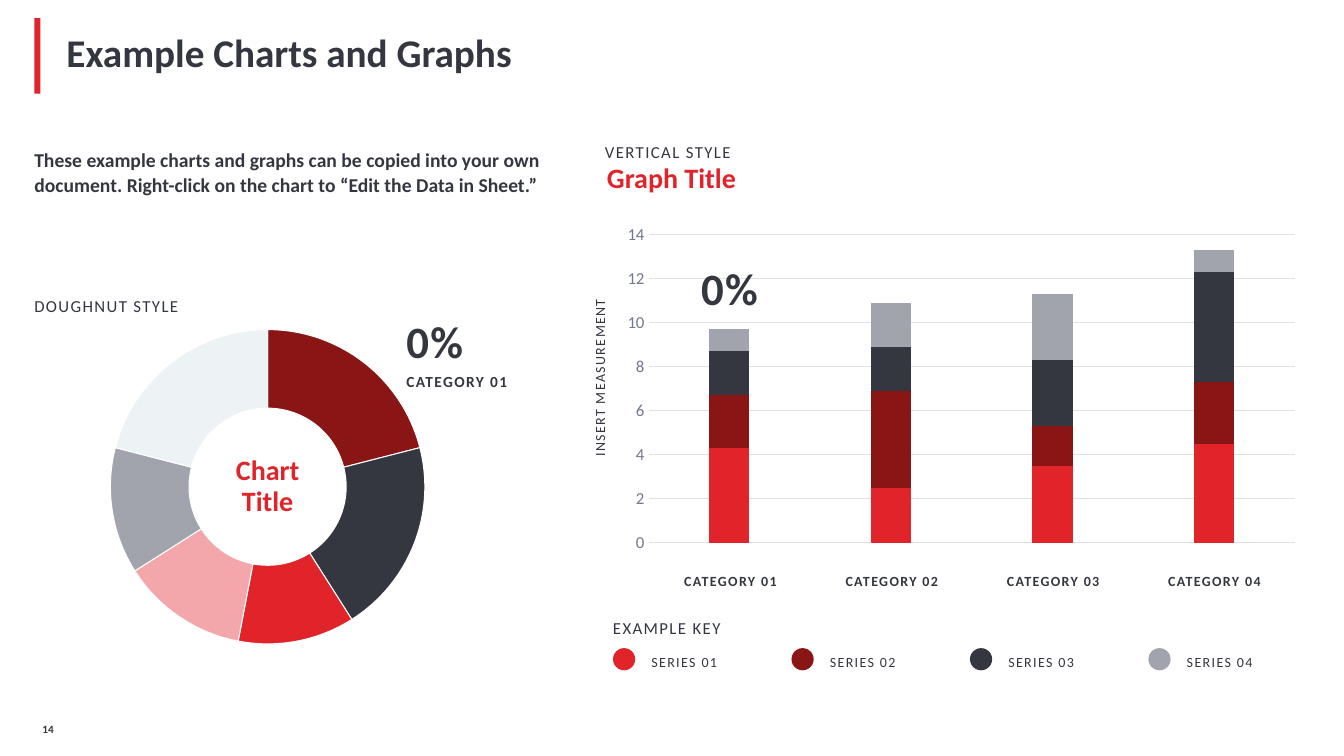
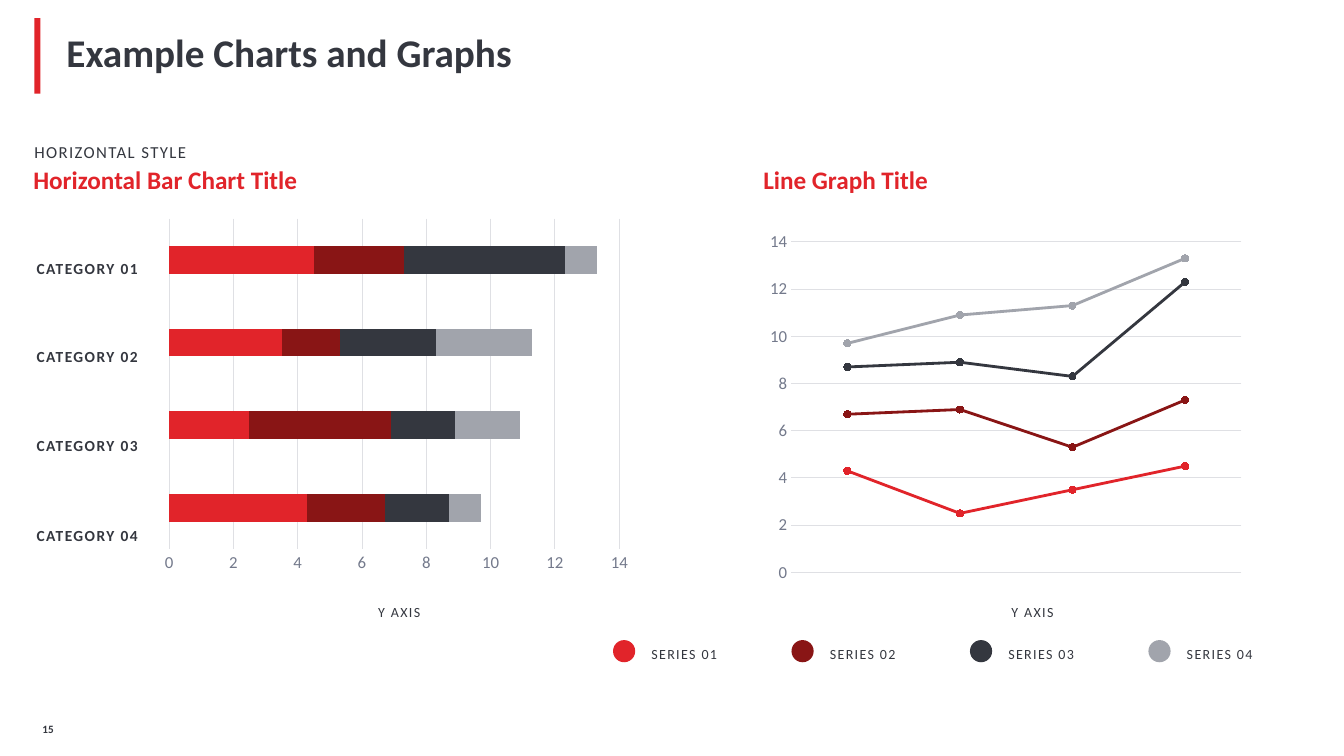
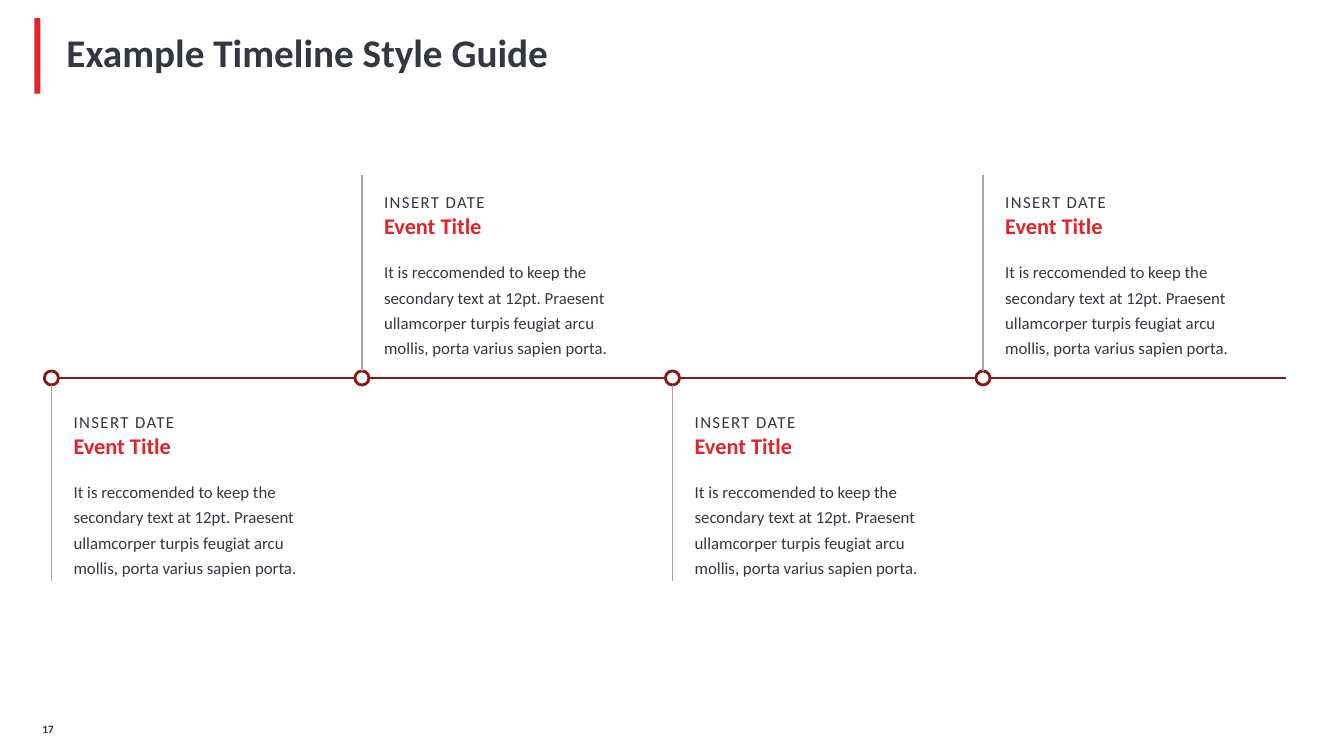
from lxml import etree
from pptx import Presentation
from pptx.chart.data import CategoryChartData
from pptx.dml.color import RGBColor
from pptx.enum.chart import XL_CHART_TYPE, XL_MARKER_STYLE, XL_TICK_MARK
from pptx.enum.shapes import MSO_CONNECTOR, MSO_SHAPE
from pptx.enum.text import MSO_ANCHOR, PP_ALIGN
from pptx.oxml.ns import qn
from pptx.util import Emu, Pt

COLUMN = XL_CHART_TYPE.COLUMN_STACKED
BAR = XL_CHART_TYPE.BAR_STACKED
LINE = XL_CHART_TYPE.LINE_MARKERS_STACKED
DOUGHNUT = XL_CHART_TYPE.DOUGHNUT
CIRCLE = XL_MARKER_STYLE.CIRCLE
NO_TICK = XL_TICK_MARK.NONE
RECT, OVAL = MSO_SHAPE.RECTANGLE, MSO_SHAPE.OVAL
STRAIGHT = MSO_CONNECTOR.STRAIGHT
LEFT, CENTER = PP_ALIGN.LEFT, PP_ALIGN.CENTER
TOP, MIDDLE = MSO_ANCHOR.TOP, MSO_ANCHOR.MIDDLE

SCALE = 9144  # EMU per px, 100 px to the inch
FONT = "Calibri"
RED, MAROON, DARK, GRAY = "E1242A", "891515", "34373F", "A1A4AC"
PINK, PALE, WHITE = "F3A7AA", "EDF2F4", "FFFFFF"
AXIS_TEXT, GRID = "73798B", "DFE0E4"

SERIES_COLORS = [RED, MAROON, DARK, GRAY]
SERIES_VALUES = [(4.3, 2.5, 3.5, 4.5), (2.4, 4.4, 1.8, 2.8), (2, 2, 3, 5), (1, 2, 3, 1)]
AXES_PLOT = (0.059, 0.052, 0.919, 0.814)
RING_PLOT = (0.04, 0.07, 0.92, 0.86)
RING_VALUES = (21, 20, 12, 13, 13, 21)
RING_COLORS = [MAROON, DARK, RED, PINK, GRAY, PALE]
EVENT_TEXT = ("It is reccomended to keep the secondary text at 12pt. Praesent "
              "ullamcorper turpis feugiat arcu mollis, porta varius sapien porta.")


def px(n):
    return Emu(n * SCALE)


def box(*lengths):
    return [px(n) for n in lengths]


def rgb(color):
    return RGBColor.from_string(color)


def add_text(slide, x, y, w, h, text, size=12, color=DARK, bold=False, align=LEFT,
             leading=18, after=6, tracking=0, anchor=TOP, insets=(0, 0, 0, 0)):
    sp = slide.shapes.add_textbox(*box(x, y, w, h))
    tf = sp.text_frame
    tf.word_wrap = True
    tf.vertical_anchor = anchor
    tf.margin_left, tf.margin_top, tf.margin_right, tf.margin_bottom = box(*insets)
    p = tf.paragraphs[0]
    p.text = text
    p.alignment = align
    p.space_after = Pt(after)
    if leading:
        p.line_spacing = Pt(leading)
    p.font.name, p.font.size, p.font.bold = FONT, Pt(size), bold
    p.font.color.rgb = rgb(color)
    if tracking:
        p.font._element.set("spc", str(tracking * 100))
    return sp


def add_label(slide, x, y, w, h, text, **style):
    """Letter-spaced caption."""
    return add_text(slide, x, y, w, h, text, tracking=1, **style)


def add_heading(slide, x, y, w, h, text, size=18, align=LEFT):
    add_text(slide, x, y, w, h, text, size, RED, True, align, leading=22, after=0)


def add_shape(slide, kind, x, y, w, h, fill, line=None):
    sp = slide.shapes.add_shape(kind, *box(x, y, w, h))
    sp.shadow.inherit = False
    sp.fill.solid()
    sp.fill.fore_color.rgb = rgb(fill)
    if line:
        sp.line.color.rgb = rgb(line)
        sp.line.width = Pt(2)
    else:
        sp.line.fill.background()


def add_line(slide, x1, y1, x2, y2, color, width):
    line = slide.shapes.add_connector(STRAIGHT, *box(x1, y1, x2, y2))
    line.line.color.rgb = rgb(color)
    line.line.width = Pt(width)
    etree.SubElement(line._element.spPr, qn("a:effectLst"))


def add_slide(prs, title, number):
    """Slide with the red title bar, the title and the page number."""
    slide = prs.slides.add_slide(prs.slide_layouts[6])
    add_shape(slide, RECT, 34, 18, 6, 75, RED)
    add_text(slide, 66, 18, 1087, 75, title, 28, bold=True, leading=28, after=0,
             anchor=MIDDLE)
    add_text(slide, 34, 713, 65, 21, str(number), 8, bold=True, leading=None, after=0,
             anchor=MIDDLE, insets=(8, 5, 0, 5))
    return slide


def set_plot_box(chart, fractions):
    """Fix the inner plot area as fractions of the chart."""
    plot_area = chart._chartSpace.chart.plotArea
    for old in plot_area.findall(qn("c:layout")):
        plot_area.remove(old)
    layout = etree.Element(qn("c:layout"))
    manual = etree.SubElement(layout, qn("c:manualLayout"))
    settings = [("layoutTarget", "inner"), ("xMode", "edge"), ("yMode", "edge")]
    for tag, value in settings + list(zip("xywh", fractions)):
        etree.SubElement(manual, qn("c:" + tag)).set("val", str(value))
    plot_area.insert(0, layout)


def add_chart(slide, kind, x, y, w, h, all_values, plot_box):
    data = CategoryChartData()
    data.categories = [str(n + 1) for n in range(len(all_values[0]))]
    for n, values in enumerate(all_values, 1):
        data.add_series(f"Series {n}", values)
    chart = slide.shapes.add_chart(kind, *box(x, y, w, h), data).chart
    chart.has_legend = chart.has_title = False
    chart.font.name, chart.font.size = FONT, Pt(10)
    chart.font.color.rgb = rgb(DARK)
    set_plot_box(chart, plot_box)
    return chart


def add_series_chart(slide, kind, x, y, w, h, gap=None):
    """Stacked chart of the four series, with only a value axis."""
    chart = add_chart(slide, kind, x, y, w, h, SERIES_VALUES, AXES_PLOT)
    plot = chart.plots[0]
    plot.vary_by_categories = False
    if gap:
        plot.gap_width, plot.overlap = gap, 100
    for series, color in zip(plot.series, SERIES_COLORS):
        if kind == LINE:
            series.smooth = False
            series.format.line.color.rgb = rgb(color)
            series.format.line.width = Pt(2)
            marker = series.marker
            marker.style, marker.size = CIRCLE, 5
            marker.format.fill.solid()
            marker.format.fill.fore_color.rgb = rgb(color)
            marker.format.line.color.rgb = rgb(color)
        else:
            series.format.fill.solid()
            series.format.fill.fore_color.rgb = rgb(color)
    chart.category_axis.visible = False
    axis = chart.value_axis
    axis.minimum_scale, axis.maximum_scale, axis.major_unit = 0, 14, 2
    axis.major_tick_mark = axis.minor_tick_mark = NO_TICK
    axis.format.line.fill.background()
    axis.has_major_gridlines = True
    axis.major_gridlines.format.line.color.rgb = rgb(GRID)
    axis.major_gridlines.format.line.width = Pt(0.75)
    font = axis.tick_labels.font
    font.name, font.size = FONT, Pt(12)
    font.color.rgb = rgb(AXIS_TEXT)


def add_doughnut(slide, x, y, w, h):
    chart = add_chart(slide, DOUGHNUT, x, y, w, h, [RING_VALUES], RING_PLOT)
    plot = chart.plots[0]
    plot.vary_by_categories = True
    plot._element.find(qn("c:holeSize")).set("val", "70")
    for n, color in enumerate(RING_COLORS):
        fmt = plot.series[0].points[n].format
        fmt.fill.solid()
        fmt.fill.fore_color.rgb = rgb(color)
        fmt.line.color.rgb = rgb(WHITE)
        fmt.line.width = Pt(0.75)
    add_heading(slide, x + (w - 97) // 2, y + 151, 97, 65, "Chart Title", 20, CENTER)
    add_label(slide, x + 307, y + 61, 115, 21, "CATEGORY 01", size=11, bold=True)
    add_label(slide, x + 307, y + 39, 115, 21, "0%", size=32, bold=True)


def add_category_labels(slide, x, y, dx, dy, size):
    """Four category names, spread evenly over dx and dy."""
    for n in range(4):
        add_label(slide, x + dx * n // 3, y + dy * n // 3, 115, 21, f"CATEGORY 0{n + 1}",
                  size=size, bold=True, align=CENTER)


def add_legend(slide, x, y):
    for n, color in enumerate(SERIES_COLORS):
        left = x + 177 * n
        add_shape(slide, OVAL, left, y, 22, 22, color)
        add_label(slide, left + 38, y - 3, 115, 21, f"SERIES 0{n + 1}", size=10)


def add_event(slide, x, y):
    add_label(slide, x, y, 115, 21, "INSERT DATE")
    add_text(slide, x, y + 27, 243, 43, "Event Title", 16, RED, True)
    add_text(slide, x, y + 70, 243, 102, EVENT_TEXT)


def add_timeline(slide, x, y, w):
    """Line of four dots, with events below and above in turn."""
    radius, stem = 7, 194
    add_line(slide, x + radius, y, x + w, y, MAROON, 2)
    for n in range(4):
        cx = x + 308 * n
        add_shape(slide, OVAL, cx - radius, y - radius, 2 * radius, 2 * radius, WHITE, MAROON)
        stem_top = y - radius - stem if n % 2 else y + radius
        add_line(slide, cx, stem_top, cx, stem_top + stem, GRAY, 1)
        add_event(slide, cx + 22, y - 190 if n % 2 else y + 28)


def build_column_slide(prs):
    slide = add_slide(prs, "Example Charts and Graphs", 14)
    add_text(slide, 34, 145, 517, 77,
             "These example charts and graphs can be copied into your own document. "
             "Right-click on the chart to “Edit the Data in Sheet.”", 14, bold=True, after=0)
    add_label(slide, 34, 288, 155, 22, "DOUGHNUT STYLE")
    add_doughnut(slide, 96, 301, 339, 364)
    add_label(slide, 600, 136, 155, 22, "VERTICAL STYLE")
    add_heading(slide, 602, 162, 239, 36, "Graph Title", 20)
    add_series_chart(slide, COLUMN, 602, 213, 698, 376, gap=301)
    add_category_labels(slide, 667, 560, 480, 0, 10)
    add_label(slide, 666, 287, 115, 21, "0%", size=32, bold=True, align=CENTER)
    measure = add_label(slide, 484, 364, 210, 22, "INSERT MEASUREMENT", size=10, align=CENTER)
    measure.rotation = 270
    add_label(slide, 608, 608, 423, 24, "EXAMPLE KEY")
    add_legend(slide, 608, 643)


def build_bar_line_slide(prs):
    slide = add_slide(prs, "Example Charts and Graphs", 15)
    add_label(slide, 34, 136, 155, 22, "HORIZONTAL STYLE")
    add_heading(slide, 33, 162, 319, 36, "Horizontal Bar Chart Title")
    add_series_chart(slide, BAR, 139, 196, 486, 403, gap=200)
    add_category_labels(slide, 29, 250, 0, 265, 11)
    add_heading(slide, 757, 162, 239, 36, "Line Graph Title")
    add_series_chart(slide, LINE, 756, 219, 486, 403)
    for x in (291, 919):
        add_label(slide, x, 590, 210, 22, "Y AXIS", size=10, align=CENTER)
    add_legend(slide, 608, 635)


def build_timeline_slide(prs):
    slide = add_slide(prs, "Example Timeline Style Guide", 17)
    add_timeline(slide, 51, 375, 1224)


def main():
    prs = Presentation()
    prs.slide_width, prs.slide_height = box(1333, 750)
    build_column_slide(prs)
    build_bar_line_slide(prs)
    build_timeline_slide(prs)
    prs.save("out.pptx")


if __name__ == "__main__":
    main()
